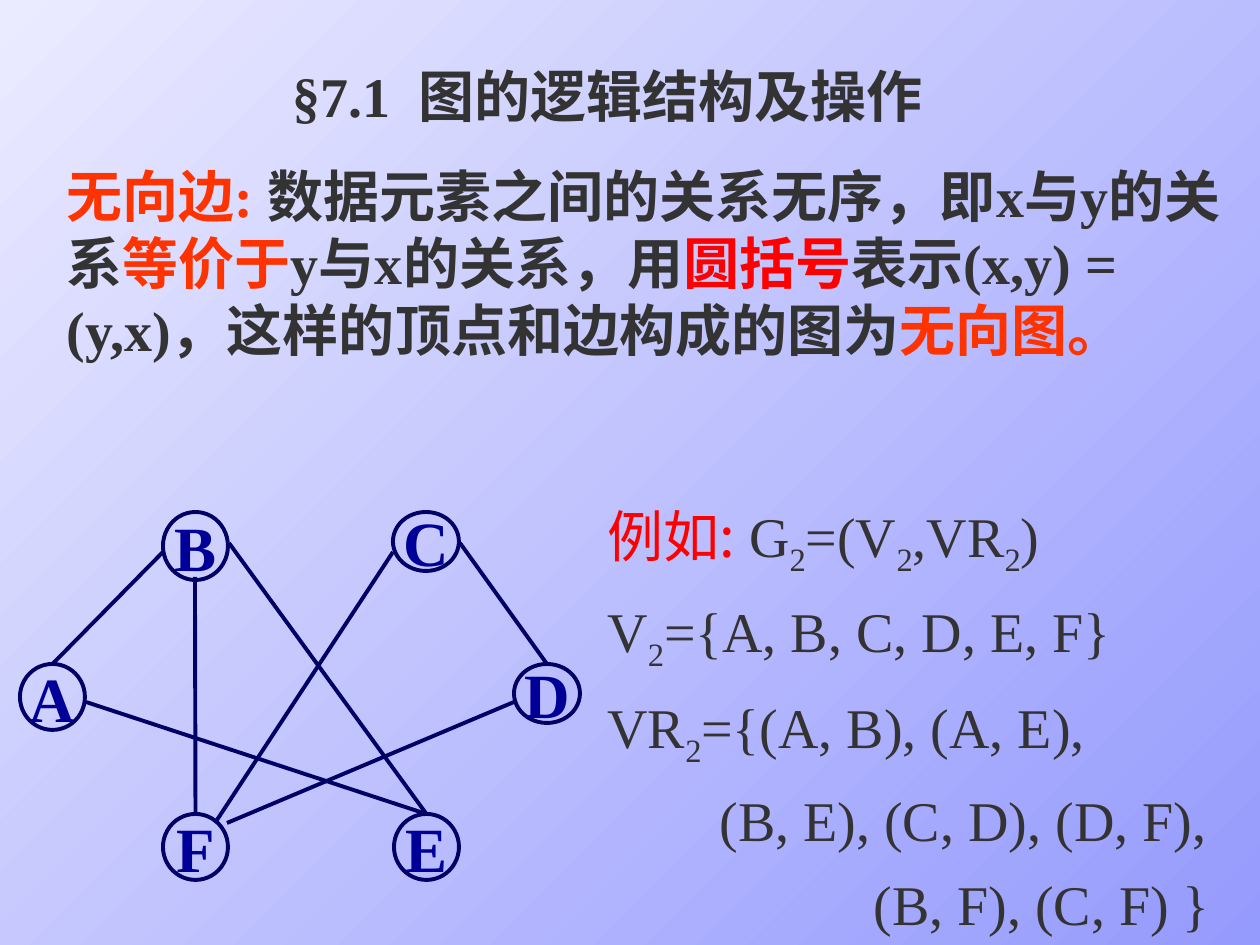
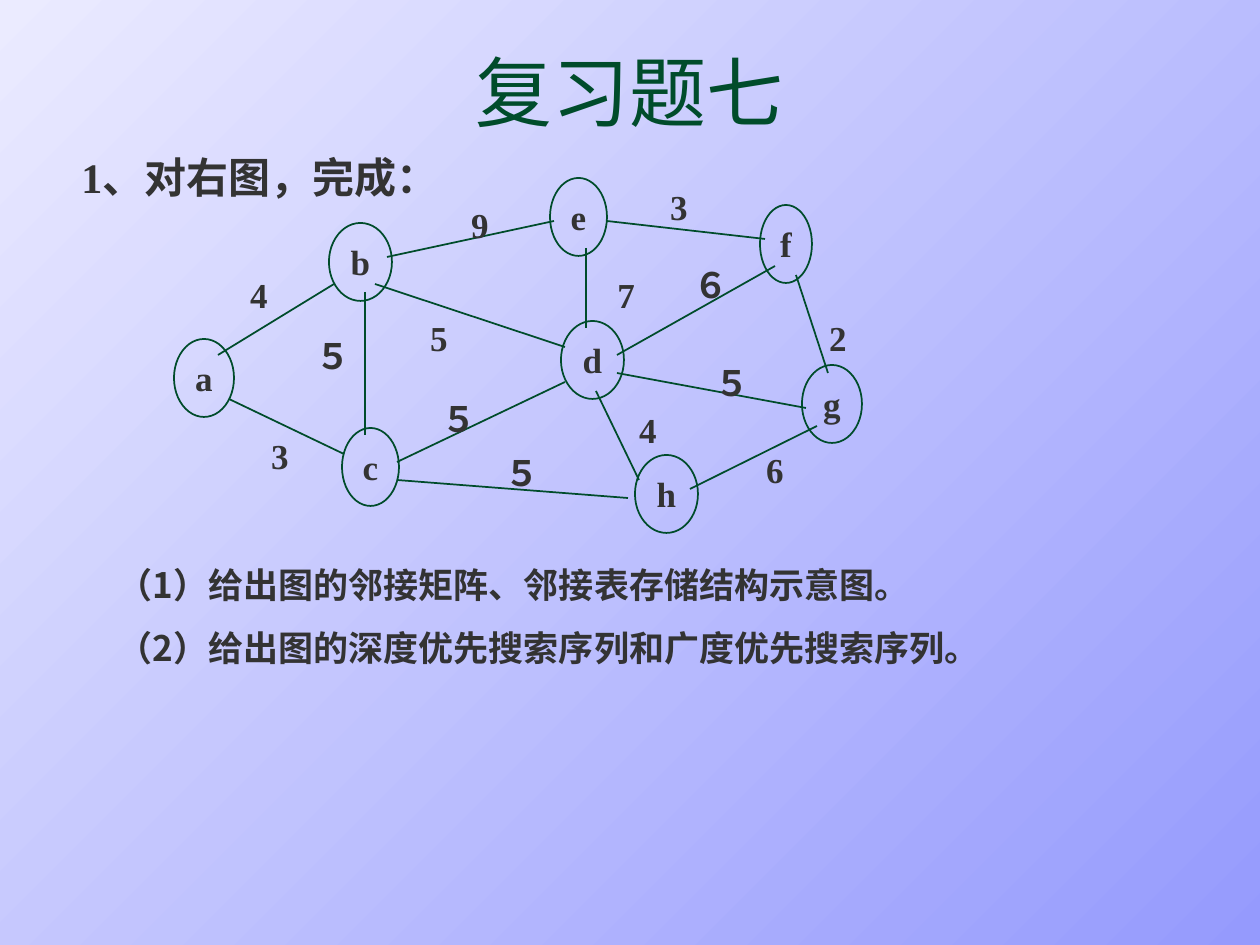
from dataclasses import dataclass

from lxml import etree
from pptx import Presentation
from pptx.dml.color import RGBColor
from pptx.enum.shapes import MSO_CONNECTOR, MSO_SHAPE
from pptx.enum.text import MSO_ANCHOR, MSO_AUTO_SIZE, PP_ALIGN
from pptx.oxml.ns import qn
from pptx.util import Emu, Pt

STRAIGHT = MSO_CONNECTOR.STRAIGHT
OVAL = MSO_SHAPE.OVAL
TOP, MIDDLE, BOTTOM = MSO_ANCHOR.TOP, MSO_ANCHOR.MIDDLE, MSO_ANCHOR.BOTTOM
LEFT, CENTER = PP_ALIGN.LEFT, PP_ALIGN.CENTER
FIXED = MSO_AUTO_SIZE.NONE
TITLE_AND_CONTENT = 1
TOP_SIDE = 0
PX_PER_INCH = 126


def px(length):
    return Emu(round(length * 914400 / PX_PER_INCH))


@dataclass(frozen=True)
class TextStyle:
    size: int
    colour: str
    bold: bool = True
    font: str = "Times New Roman"


@dataclass(frozen=True)
class GraphStyle:
    colour: str
    width: float
    label: TextStyle


@dataclass(frozen=True)
class Span:
    text: str
    colour: str = ""
    font: str = ""
    subscript: bool = False


class Theme:
    ink = "333333"
    green = "004C2B"
    orange = "FF3300"
    red = "FF0000"
    backdrop = ("EBEBFF", "959AFD")
    sans = "Noto Sans CJK SC"
    section = TextStyle(32, ink)
    formula = TextStyle(32, ink, bold=False)
    review_title = TextStyle(44, green, bold=False)
    lead = TextStyle(24, ink)
    question = TextStyle(20, ink, font=sans)
    weight = TextStyle(20, ink)
    plain_graph = GraphStyle("000066", 2.25, TextStyle(36, "000099"))
    weighted_graph = GraphStyle(green, 1, weight)


class Page:
    def __init__(self, deck):
        self.slide = deck.slides.add_slide(deck.slide_layouts[TITLE_AND_CONTENT])
        self.shapes = self.slide.shapes

    def fill_frame(self, frame, lines, style, align=LEFT, anchor=TOP, wrap=True,
                   spacing=1.0, indents=(), tab=None):
        frame.auto_size = FIXED
        frame.word_wrap = wrap
        frame.vertical_anchor = anchor
        for index, line in enumerate(lines):
            para = frame.paragraphs[0] if index == 0 else frame.add_paragraph()
            indent = indents[index] if indents else 0
            self.format_paragraph(para, style, align, spacing, indent, tab)
            for part in [Span(line)] if isinstance(line, str) else line:
                self.add_span(para, part)

    def format_paragraph(self, para, style, align, spacing, indent, tab):
        properties = para._p.get_or_add_pPr()
        properties.set("marL", str(px(indent)))
        properties.set("indent", "0")
        etree.SubElement(properties, qn("a:buNone"))
        if tab:
            tabs = etree.SubElement(properties, qn("a:tabLst"))
            etree.SubElement(tabs, qn("a:tab"), pos=str(px(tab)), algn="l")
        para.alignment = align
        para.line_spacing = spacing
        para.space_before = Pt(0)
        para.font.size = Pt(style.size)
        para.font.name = style.font
        para.font.bold = style.bold
        para.font.color.rgb = RGBColor.from_string(style.colour)

    def add_span(self, para, part):
        span = para.add_run()
        span.text = part.text
        if part.colour:
            span.font.color.rgb = RGBColor.from_string(part.colour)
        if part.font:
            span.font.name = part.font
        if part.subscript:
            span._r.get_or_add_rPr().set("baseline", "-25000")

    def place(self, box, area):
        box.left, box.top, box.width, box.height = map(px, area)

    def title(self, text, area, style, **layout):
        self.place(self.shapes.title, area)
        self.fill_frame(self.shapes.title.text_frame, [text], style, **layout)

    def body(self, lines, area, style, **layout):
        box = self.slide.placeholders[1]
        self.place(box, area)
        self.fill_frame(box.text_frame, lines, style, **layout)

    def text(self, lines, area, style, **layout):
        box = self.shapes.add_textbox(*map(px, area))
        self.fill_frame(box.text_frame, lines, style, **layout)

    def node(self, name, area, graph):
        oval = self.shapes.add_shape(OVAL, *map(px, area))
        oval.shadow.inherit = False
        oval.fill.background()
        oval.line.color.rgb = RGBColor.from_string(graph.colour)
        oval.line.width = Pt(graph.width)
        self.fill_frame(oval.text_frame, [name], graph.label,
                        align=CENTER, anchor=MIDDLE, wrap=False)
        return oval

    def edge(self, start, end, graph):
        edge = self.shapes.add_connector(STRAIGHT, *map(px, start + end))
        edge.line.color.rgb = RGBColor.from_string(graph.colour)
        edge.line.width = Pt(graph.width)
        etree.SubElement(edge._element.spPr, qn("a:effectLst"))
        return edge

    def weight(self, text, center, top):
        width, height = 60, 55
        self.text([text], (center - width / 2, top, width, height), Theme.weight,
                  align=CENTER, wrap=False)


def paint_background(deck):
    fill = deck.slide_master.background.fill
    fill.gradient()
    fill.gradient_angle = 315
    for stop, colour in zip(fill.gradient_stops, Theme.backdrop):
        stop.color.rgb = RGBColor.from_string(colour)


def with_subscripts(text, mark="₂"):
    pieces = text.split(mark)
    spans = [Span(pieces[0])]
    for piece in pieces[1:]:
        spans += [Span("2", subscript=True), Span(piece)]
    return spans


def build_undirected_graph(deck):
    page = Page(deck)
    graph = Theme.plain_graph
    page.title("§7.1\t图的逻辑结构及操作", (280, 55, 760, 81), Theme.section, tab=152)
    page.body([[
        Span("无向边: ", Theme.orange),
        Span("数据元素之间的关系无序，即x与y的关系"),
        Span("等价于", Theme.orange),
        Span("y与x的关系，用"),
        Span("圆括号", Theme.red),
        Span("表示(x,y) = (y,x)，这样的顶点和边构成的图为"),
        Span("无向图。", Theme.orange),
    ]], (54, 155, 1181, 282), Theme.section)

    node_areas = {
        "B": (163, 512, 65, 68),
        "C": (393, 512, 66, 59),
        "A": (20, 664, 65, 66),
        "F": (163, 814, 65, 66),
        "E": (394, 814, 65, 66),
        "D": (514, 664, 66, 59),
    }
    nodes = {name: page.node(name, area, graph) for name, area in node_areas.items()}
    edges_to_tops = [
        ((163, 552), "A"),
        ((229, 543), "E"),
        ((86, 702), "E"),
        ((460, 543), "D"),
        ((195, 577), "F"),
    ]
    for start, name in edges_to_tops:
        page.edge(start, start, graph).end_connect(nodes[name], TOP_SIDE)
    page.edge((393, 552), (215, 823), graph)
    page.edge((514, 702), (227, 823), graph)

    page.text([
        [Span("例如:", Theme.red, Theme.sans)] + with_subscripts(" G₂=(V₂,VR₂)"),
        with_subscripts("V₂={A, B, C, D, E, F}"),
        with_subscripts("VR₂={(A, B), (A, E),"),
        "(B, E), (C, D), (D, F),",
        "(B, F), (C, F) }",
    ], (595, 476, 651, 467), Theme.formula, spacing=1.25, indents=(0, 0, 0, 112, 266))


def build_review(deck):
    page = Page(deck)
    graph = Theme.weighted_graph
    page.title("复习题七", (94, 35, 1071, 108), Theme.review_title,
               align=CENTER, anchor=BOTTOM)
    page.text(["1、对右图，完成："], (69, 145, 392, 63), Theme.lead, wrap=False)
    page.body([
        "（1）给出图的邻接矩阵、邻接表存储结构示意图。",
        "（2）给出图的深度优先搜索序列和广度优先搜索序列。",
    ], (105, 536, 1061, 139), Theme.question, spacing=1.5)

    node_height = 78
    nodes = [
        ("a", 174, 339, 60),
        ("b", 329, 223, 63),
        ("c", 342, 428, 57),
        ("d", 561, 321, 63),
        ("e", 550, 178, 57),
        ("f", 760, 205, 52),
        ("g", 802, 365, 60),
        ("h", 635, 455, 63),
    ]
    for name, left, top, width in nodes:
        page.node(name, (left, top, width, node_height), graph)

    weighted_edges = [
        ((334, 284), (218, 355), "4", 259, 267),
        ((229, 399), (344, 454), "3", 280, 428),
        ((365, 292), (365, 435), "５", 333, 328),
        ((375, 284), (565, 347), "5", 439, 310),
        ((554, 221), (387, 257), "9", 480, 197),
        ((397, 462), (565, 382), "５", 459, 391),
        ((397, 480), (628, 498), "５", 522, 445),
        ((596, 391), (639, 480), "4", 648, 402),
        ((586, 248), (586, 328), "7", 626, 267),
        ((775, 266), (617, 355), "６", 711, 257),
        ((617, 373), (806, 408), "５", 732, 355),
        ((765, 239), (607, 221), "3", 679, 179),
        ((828, 373), (796, 275), "2", 838, 310),
        ((690, 489), (817, 426), "6", 775, 442),
    ]
    for start, end, weight, center, top in weighted_edges:
        page.edge(start, end, graph)
        page.weight(weight, center, top)


def main():
    deck = Presentation()
    deck.slide_width, deck.slide_height = px(1260), px(945)
    paint_background(deck)
    build_undirected_graph(deck)
    build_review(deck)
    deck.save("out.pptx")


if __name__ == "__main__":
    main()
